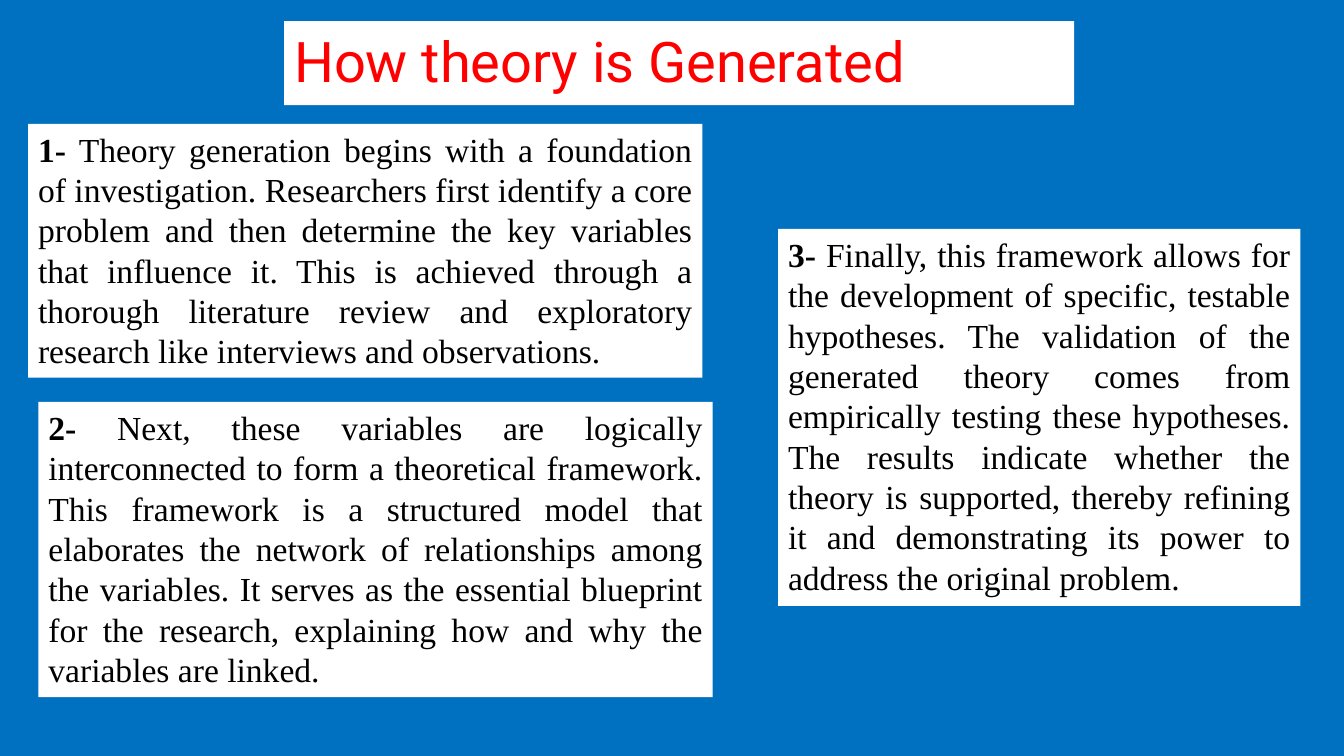
from pptx import Presentation
from pptx.dml.color import RGBColor
from pptx.enum.text import MSO_ANCHOR, MSO_AUTO_SIZE, PP_ALIGN
from pptx.util import Cm, Pt

TOP = MSO_ANCHOR.TOP
GROW = MSO_AUTO_SIZE.SHAPE_TO_FIT_TEXT
JUSTIFY = PP_ALIGN.JUSTIFY

BLUE = RGBColor(0x00, 0x70, 0xC0)
WHITE = RGBColor(0xFF, 0xFF, 0xFF)
RED = RGBColor(0xFF, 0x00, 0x00)
BLACK = RGBColor(0x00, 0x00, 0x00)

TITLE_ONLY = 5
STEP_WIDTH = 16.99
STEPS = [
    ((0.71, 3.12, STEP_WIDTH, 6.4), "1-",
     " Theory generation begins with a foundation of investigation. "
     "Researchers first identify a core problem and then determine the key "
     "variables that influence it. This is achieved through a thorough "
     "literature review and exploratory research like interviews and "
     "observations."),
    ((0.97, 10.13, STEP_WIDTH, 7.44), "2-",
     " Next, these variables are logically interconnected to form a "
     "theoretical framework. This framework is a structured model that "
     "elaborates the network of relationships among the variables. It serves "
     "as the essential blueprint for the research, explaining how and why the "
     "variables are linked."),
    ((19.61, 5.77, 13.16, 9.5), "3-",
     " Finally, this framework allows for the development of specific, "
     "testable hypotheses. The validation of the generated theory comes from "
     "empirically testing these hypotheses. The results indicate whether the "
     "theory is supported, thereby refining it and demonstrating its power to "
     "address the original problem."),
]


def format_panel(panel):
    panel.fill.solid()
    panel.fill.fore_color.rgb = WHITE
    frame = panel.text_frame
    frame.word_wrap = True
    frame.auto_size = GROW
    frame.vertical_anchor = TOP
    paragraph = frame.paragraphs[0]
    paragraph.alignment = JUSTIFY
    return paragraph


def add_run(paragraph, text, font_name, size, color, bold=False):
    run = paragraph.add_run()
    run.text = text
    run.font.name = font_name
    run.font.size = Pt(size)
    run.font.color.rgb = color
    run.font.bold = bold


def set_title(slide, text):
    title = slide.shapes.title
    title.left, title.top = Cm(7.16), Cm(0.53)
    title.width, title.height = Cm(19.91), Cm(1.96)
    add_run(format_panel(title), text, "Roboto", 40, RED)


def add_step(slide, box, number, explanation):
    step = slide.shapes.add_textbox(*map(Cm, box))
    paragraph = format_panel(step)
    add_run(paragraph, number, "Times New Roman", 24, BLACK, bold=True)
    add_run(paragraph, explanation, "Times New Roman", 24, BLACK)


def main():
    presentation = Presentation()
    presentation.slide_width = Cm(33.87)
    presentation.slide_height = Cm(19.05)
    slide = presentation.slides.add_slide(presentation.slide_layouts[TITLE_ONLY])
    slide.background.fill.solid()
    slide.background.fill.fore_color.rgb = BLUE
    set_title(slide, "How theory is Generated")
    for box, number, explanation in STEPS:
        add_step(slide, box, number, explanation)
    presentation.save("out.pptx")


if __name__ == "__main__":
    main()
